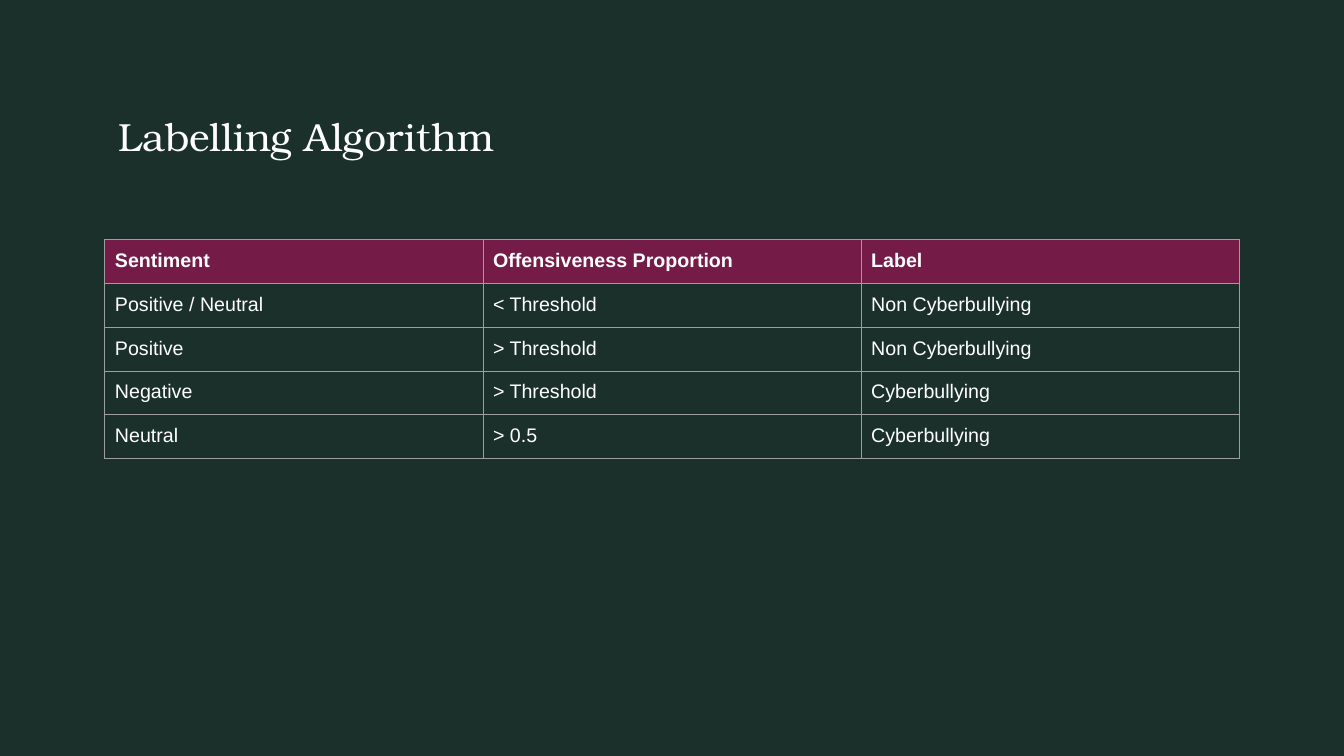
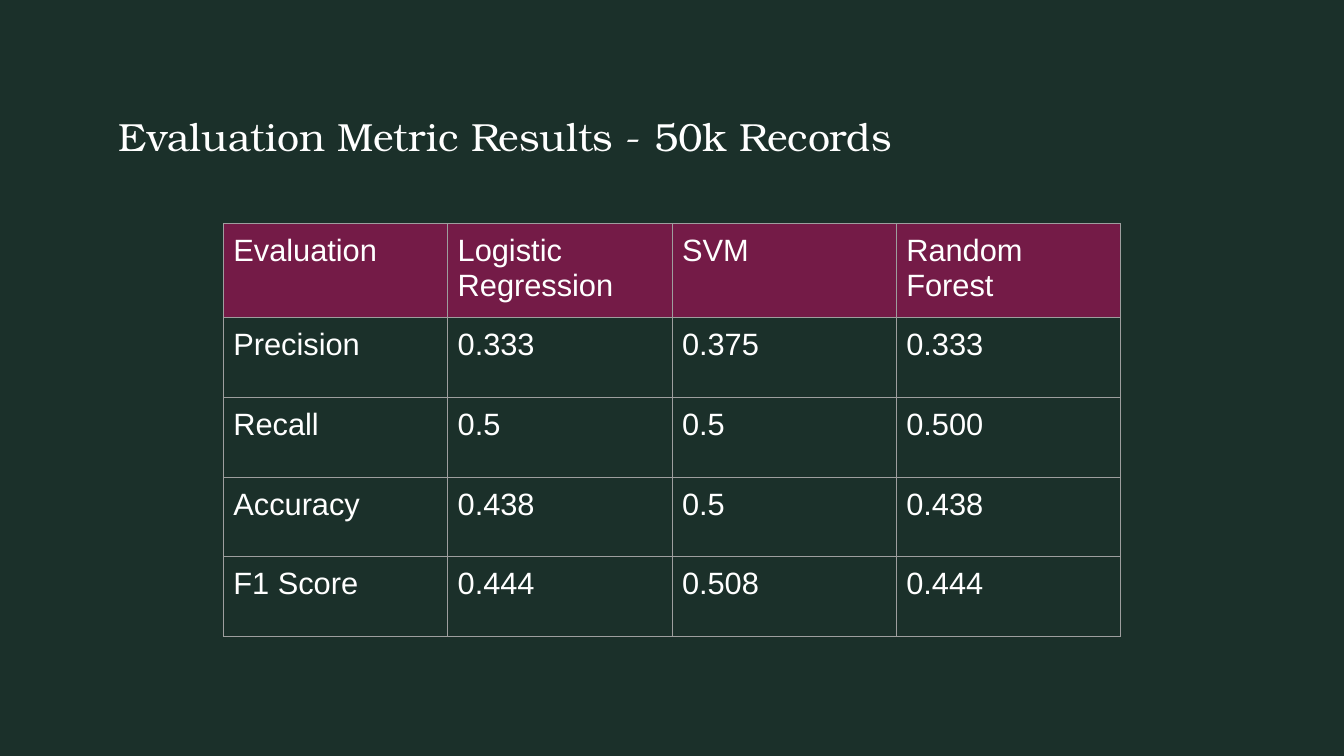
from dataclasses import dataclass

import lxml.etree
import pptx
import pptx.dml.color
import pptx.enum.text
import pptx.oxml.ns
import pptx.util

Inches = pptx.util.Inches


@dataclass(frozen=True)
class Theme:
    """Colours, fonts and sizes shared by the slides."""
    background: str = "1B302A"
    header: str = "741B47"
    border: str = "9E9E9E"
    text: str = "FFFFFF"
    title_font: str = "TeX Gyre Bonum"
    body_font: str = "Arial"
    title_size: int = 28
    rules_size: int = 14
    metrics_size: int = 22
    border_width: float = 0.75
    cell_margin: float = 0.1


THEME = Theme()
SLIDE_WIDTH, SLIDE_HEIGHT = 13.33, 7.5
TITLE_BOX = (1.18, 1.11, 10.97, 0.72)


def set_attributes(target, values):
    """Set each named attribute on the target."""
    for name, value in values.items():
        setattr(target, name, value)


def rgb(colour):
    """Turn a hex string into a colour."""
    return pptx.dml.color.RGBColor.from_string(colour)


def write_text(text_frame, text, font, size, margin, bold=False):
    """Put one left-aligned, top-anchored paragraph in a text frame."""
    inset = Inches(margin)
    set_attributes(text_frame, {
        "word_wrap": True, "vertical_anchor": pptx.enum.text.MSO_ANCHOR.TOP,
        "margin_left": inset, "margin_right": inset,
        "margin_top": inset, "margin_bottom": inset})
    write_run(text_frame.paragraphs[0], text, font, size, bold)


def write_run(paragraph, text, font, size, bold):
    """Add one formatted run to a paragraph."""
    run = paragraph.add_run()
    run.text = text
    set_attributes(run.font, {"name": font, "size": pptx.util.Pt(size), "bold": bold})
    run.font.color.rgb = rgb(THEME.text)


def draw_borders(cell):
    """Draw a thin line on all four sides of a cell."""
    properties = cell._tc.get_or_add_tcPr()
    for side in ("lnL", "lnR", "lnT", "lnB"):
        line = lxml.etree.SubElement(properties, pptx.oxml.ns.qn(f"a:{side}"),
                                     w=str(pptx.util.Pt(THEME.border_width)))
        fill = lxml.etree.SubElement(line, pptx.oxml.ns.qn("a:solidFill"))
        lxml.etree.SubElement(fill, pptx.oxml.ns.qn("a:srgbClr"), val=THEME.border)


def format_cell(cell, text, size, is_header, bold):
    """Give a cell its text, margins, borders and fill."""
    margin = Inches(THEME.cell_margin)
    set_attributes(cell, {
        "margin_left": margin, "margin_right": margin,
        "margin_top": margin, "margin_bottom": margin,
        "vertical_anchor": pptx.enum.text.MSO_ANCHOR.TOP})
    write_run(cell.text_frame.paragraphs[0], text, THEME.body_font, size, bold)
    draw_borders(cell)
    if is_header:
        cell.fill.solid()
        cell.fill.fore_color.rgb = rgb(THEME.header)
    else:
        cell.fill.background()


def add_title(slide, box, text):
    """Place the slide title in its box."""
    shape = slide.shapes.add_textbox(*map(Inches, box))
    write_text(shape.text_frame, text, THEME.title_font, THEME.title_size, margin=0)


def add_grid(slide, box, rows, size, bold_header):
    """Fill the box with a table of equal columns and equal rows."""
    frame = slide.shapes.add_table(len(rows), len(rows[0]), *map(Inches, box))
    table = frame.table
    set_attributes(table, {"first_row": True, "horz_banding": False})
    for row_index, row in enumerate(rows):
        is_header = row_index == 0
        for column_index, text in enumerate(row):
            format_cell(table.cell(row_index, column_index), text, size,
                        is_header, is_header and bold_header)


def add_table_slide(presentation, title, rows, top, width, row_height, size,
                    bold_header=False):
    """Add a slide with a title above a horizontally centred table."""
    slide = presentation.slides.add_slide(presentation.slide_layouts[6])
    add_title(slide, TITLE_BOX, title)
    box = ((SLIDE_WIDTH - width) / 2, top, width, row_height * len(rows))
    add_grid(slide, box, rows, size, bold_header)


LABEL_RULES = [
    ("Sentiment", "Offensiveness Proportion", "Label"),
    ("Positive / Neutral", "< Threshold", "Non Cyberbullying"),
    ("Positive", "> Threshold", "Non Cyberbullying"),
    ("Negative", "> Threshold", "Cyberbullying"),
    ("Neutral", "> 0.5", "Cyberbullying"),
]
METRICS = [
    ("Evaluation", "Logistic Regression", "SVM", "Random Forest"),
    ("Precision", "0.333", "0.375", "0.333"),
    ("Recall", "0.5", "0.5", "0.500"),
    ("Accuracy", "0.438", "0.5", "0.438"),
    ("F1 Score", "0.444", "0.508", "0.444"),
]


def main():
    """Build and save the presentation."""
    presentation = pptx.Presentation()
    set_attributes(presentation, {"slide_width": Inches(SLIDE_WIDTH),
                                  "slide_height": Inches(SLIDE_HEIGHT)})
    background = presentation.slide_master.background.fill
    background.solid()
    background.fore_color.rgb = rgb(THEME.background)
    add_table_slide(presentation, "Labelling Algorithm", LABEL_RULES, top=2.38,
                    width=11.25, row_height=0.42, size=THEME.rules_size,
                    bold_header=True)
    add_table_slide(presentation, "Evaluation Metric Results - 50k Records", METRICS,
                    top=2.22, width=8.9, row_height=0.79, size=THEME.metrics_size)
    presentation.save("out.pptx")


main()
